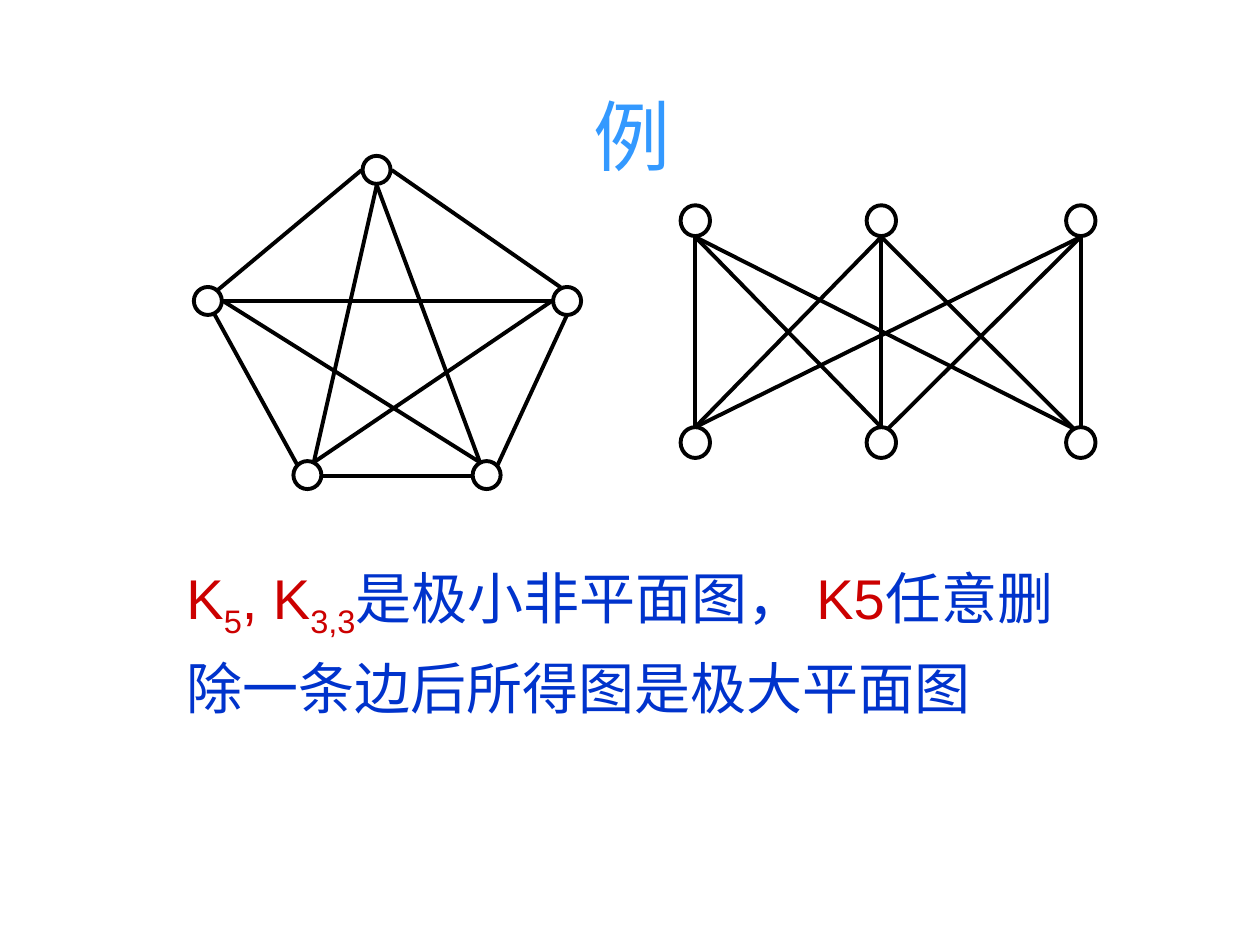
from itertools import product

from lxml import etree
from pptx import Presentation
from pptx.dml.color import RGBColor
from pptx.enum import shapes, text
from pptx.oxml.ns import qn
from pptx.util import Pt

COLORS = {"title": "3399FF", "symbol": "CC0000", "body": "0033CC",
          "line": "000000", "node": "FFFFFF"}
FONT = "Arial"
LINE_WIDTH = 2.25
SUBSCRIPT = "-25000"

TITLE = [("例", "title", False)]
BODY = [
    ("K", "symbol", False),
    ("5", "symbol", True),
    (", K", "symbol", False),
    ("3,3", "symbol", True),
    ("是极小非平面图， ", "body", False),
    ("K5", "symbol", False),
    ("任意删除一条边后所得图是极大平面图", "body", False),
]

# K5: node centres, then edges that stop at the node outlines
K5_SIZE = (16, 16)
K5_NODES = [(215.2, 97.1), (278.1, 271.5), (175.7, 271.5), (324.1, 172), (118.8, 172)]
TOP_FOOT = (215.3, 105.8)
LEFT_SIDE, RIGHT_SIDE = (127.4, 172), (315.4, 172)
BOTTOM_LEFT, BOTTOM_RIGHT = (179.3, 264.2), (274.3, 264.2)
K5_EDGES = [
    ((124.6, 165.6), (206.6, 97.2)),
    ((122.4, 179.3), (169.9, 265.7)),
    ((184.3, 272), (270, 272)),
    ((284.4, 265.7), (324, 180)),
    ((223.9, 97.2), (320.4, 164.2)),
    (LEFT_SIDE, RIGHT_SIDE),
    (BOTTOM_LEFT, TOP_FOOT),
    (TOP_FOOT, BOTTOM_RIGHT),
    (LEFT_SIDE, BOTTOM_RIGHT),
    (BOTTOM_LEFT, RIGHT_SIDE),
]

# K3,3: columns and rows of node centres; edges run between the rows
K33_SIZE = (16.8, 17.6)
K33_COLUMNS = [397.3, 503.6, 617.6]
K33_ROWS = (126.1, 252.9)
K33_EDGE_ROWS = (135.4, 244.1)
# Slanted edges that meet the lower node off its centre: (upper, lower) -> shift
K33_SHIFTS = {(0, 2): (-4.2, 0.7), (1, 2): (-4.2, 0.7), (2, 1): (4, 0.7)}


def rgb(name):
    return RGBColor.from_string(COLORS[name])


def add_text(slide, box, runs, size, align, anchor, spacing=1.0, before=0):
    tf = slide.shapes.add_textbox(*map(Pt, box)).text_frame
    tf.word_wrap = True
    tf.vertical_anchor = anchor
    p = tf.paragraphs[0]
    p.alignment, p.line_spacing, p.space_before = align, spacing, Pt(before)
    p.font.size, p.font.name = Pt(size), FONT
    for content, color, lowered in runs:
        r = p.add_run()
        r.text = content
        r.font.size, r.font.name = Pt(size), FONT
        r.font.color.rgb = rgb(color)
        if lowered:
            r.font._element.set("baseline", SUBSCRIPT)


def outline(sp):
    sp.line.color.rgb = rgb("line")
    sp.line.width = Pt(LINE_WIDTH)


def draw_graph(parent, nodes, size, edges):
    w, h = size
    for x, y in nodes:
        sp = parent.add_shape(shapes.MSO_SHAPE.OVAL,
                              Pt(x - w / 2), Pt(y - h / 2), Pt(w), Pt(h))
        sp.shadow.inherit = False
        sp.fill.solid()
        sp.fill.fore_color.rgb = rgb("node")
        outline(sp)
    for start, end in edges:
        line = parent.add_connector(shapes.MSO_CONNECTOR.STRAIGHT,
                                    *map(Pt, start + end))
        outline(line)
        etree.SubElement(line._element.spPr, qn("a:effectLst"))


def k33_edges():
    upper_y, lower_y = K33_EDGE_ROWS
    for i, j in product(range(3), repeat=2):
        dx, dy = K33_SHIFTS.get((i, j), (0, 0))
        yield (K33_COLUMNS[i], upper_y), (K33_COLUMNS[j] + dx, lower_y + dy)


def main():
    prs = Presentation()
    prs.slide_width, prs.slide_height = Pt(720), Pt(540)
    slide = prs.slides.add_slide(prs.slide_layouts[6])

    add_text(slide, (25.2, 31.7, 672.5, 90), TITLE, 44,
             text.PP_ALIGN.CENTER, text.MSO_ANCHOR.MIDDLE)
    add_text(slide, (99.4, 309.6, 536.4, 107.3), BODY, 32,
             text.PP_ALIGN.LEFT, text.MSO_ANCHOR.TOP, spacing=1.2, before=8)
    draw_graph(slide.shapes, K5_NODES, K5_SIZE, K5_EDGES)
    draw_graph(slide.shapes.add_group_shape().shapes,
               product(K33_COLUMNS, K33_ROWS), K33_SIZE, k33_edges())
    prs.save("out.pptx")


if __name__ == "__main__":
    main()
